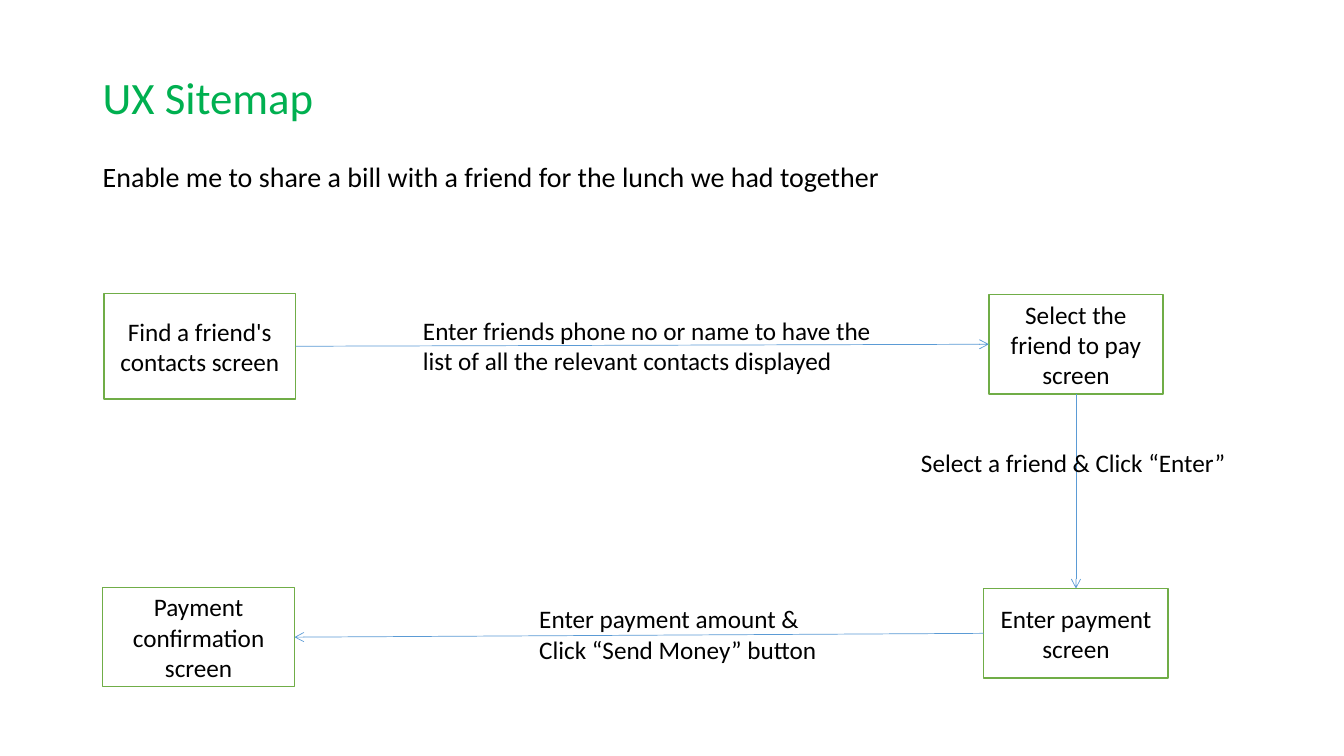
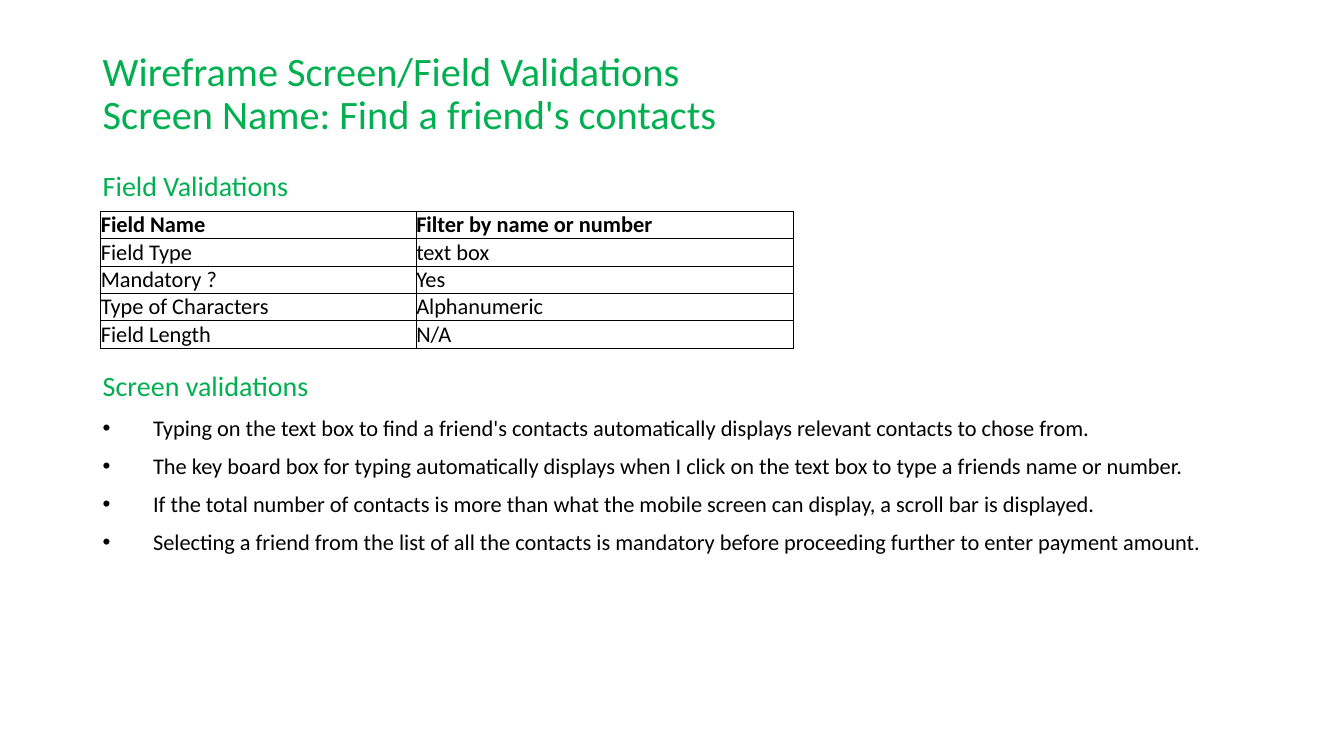
from dataclasses import dataclass

from lxml.etree import SubElement
from pptx import Presentation
from pptx.dml.color import RGBColor
from pptx.enum.shapes import MSO_CONNECTOR as Connector
from pptx.enum.shapes import MSO_SHAPE as Preset
from pptx.enum.text import MSO_ANCHOR as Anchor
from pptx.enum.text import PP_ALIGN as Align
from pptx.oxml.ns import qn
from pptx.shapes.autoshape import Shape
from pptx.slide import Slide
from pptx.table import _Cell as Cell
from pptx.text.text import _Paragraph as Paragraph
from pptx.util import Cm, Pt

FONT = "Calibri"
GREEN, BLACK, WHITE = "00B050", "000000", "FFFFFF"
BOX_LINE, ARROW_LINE = "70AD47", "5B9BD5"
MARGIN_LEFT, TITLE_TOP, TITLE_WIDTH = 2.34, 1.02, 29.21
BULLET_INDENT = 1.27
TOP, LEFT, BOTTOM, RIGHT = range(4)  # connection sites of a rectangle


@dataclass(frozen=True)
class Area:
    """A rectangle in centimetres."""
    left: float
    top: float
    width: float
    height: float

    def lengths(self) -> tuple[Cm, Cm, Cm, Cm]:
        """Return the rectangle as slide lengths."""
        return Cm(self.left), Cm(self.top), Cm(self.width), Cm(self.height)


@dataclass(frozen=True)
class Caption:
    """A text and the area it stands in."""
    text: str
    area: Area


@dataclass(frozen=True)
class Arrow:
    """A link between the sites of two named screens."""
    start: str
    start_site: int
    end: str
    end_site: int


@dataclass(frozen=True)
class BodyLine:
    """One paragraph of body text."""
    text: str
    size: float = 20
    color: str = BLACK
    bullet: bool = False
    space_before: float = 10


SCREENS = {
    "find": Caption("Find a friend's contacts screen", Area(2.62, 7.39, 4.83, 2.67)),
    "select": Caption("Select the friend to pay screen", Area(24.92, 7.42, 4.39, 2.51)),
    "pay": Caption("Enter payment screen", Area(24.79, 14.83, 4.65, 2.26)),
    "confirm": Caption("Payment confirmation screen", Area(2.59, 14.81, 4.83, 2.49)),
}
ARROWS = [
    Arrow("find", RIGHT, "select", LEFT),
    Arrow("select", BOTTOM, "pay", TOP),
    Arrow("pay", LEFT, "confirm", RIGHT),
]
ACTIONS = [
    Caption("Enter friends phone no or name to have the list of all the relevant "
            "contacts displayed", Area(10.41, 7.82, 12.37, 1.78)),
    Caption("Select a friend & Click “Enter”", Area(22.96, 11.15, 8.48, 1.02)),
    Caption("Enter payment amount & Click “Send Money” button",
            Area(13.34, 15.09, 7.82, 1.78)),
]
SCREEN_RULES = [
    "Typing on the text box to find a friend's contacts automatically displays "
    "relevant contacts to chose from.",
    "The key board box for typing automatically displays when I click on the text "
    "box to type a friends name or number.",
    "If the total number of contacts is more than what the mobile screen can "
    "display, a scroll bar is displayed.",
    "Selecting a friend from the list of all the contacts is mandatory before "
    "proceeding further to enter payment amount.",
]
FIELD_ROWS = [
    ("Field Name", "Filter by name or number"),
    ("Field Type", "text box"),
    ("Mandatory ?", "Yes"),
    ("Type of Characters", "Alphanumeric"),
    ("Field Length", "N/A"),
]
FIELD_COLUMNS = (7.95, 9.5)
FIELD_ROW_HEIGHT = 0.69


def rgb(color: str) -> RGBColor:
    """Turn a hex string into a colour."""
    return RGBColor.from_string(color)


def format_runs(paragraph: Paragraph, size: float, color: str = BLACK,
                bold: bool = False) -> None:
    """Give every run of a paragraph the same font."""
    for run in paragraph.runs:
        run.font.name = FONT
        run.font.size = Pt(size)
        run.font.bold = bold
        run.font.color.rgb = rgb(color)


def add_text_box(slide: Slide, area: Area) -> Shape:
    """Add an empty wrapping text box."""
    box = slide.shapes.add_textbox(*area.lengths())
    box.text_frame.word_wrap = True
    return box


def add_title(slide: Slide, text: str, size: float, height: float) -> None:
    """Add the green slide title."""
    area = Area(MARGIN_LEFT, TITLE_TOP, TITLE_WIDTH, height)
    frame = add_text_box(slide, area).text_frame
    frame.vertical_anchor = Anchor.MIDDLE
    paragraph = frame.paragraphs[0]
    paragraph.text = text
    paragraph.line_spacing = 0.9
    format_runs(paragraph, size, GREEN)


def add_bullet(paragraph: Paragraph) -> None:
    """Give a paragraph a hanging bullet."""
    properties = paragraph._p.get_or_add_pPr()
    properties.set("marL", str(Cm(BULLET_INDENT)))
    properties.set("indent", str(-Cm(BULLET_INDENT)))
    SubElement(properties, qn("a:buFont"), typeface="Arial")
    SubElement(properties, qn("a:buChar"), char="•")


def add_body(slide: Slide, area: Area, lines: list[BodyLine]) -> None:
    """Add the body text, one paragraph a line."""
    frame = add_text_box(slide, area).text_frame
    for index, line in enumerate(lines):
        paragraph = frame.add_paragraph() if index else frame.paragraphs[0]
        paragraph.text = line.text
        paragraph.line_spacing = 0.9
        paragraph.space_before = Pt(line.space_before)
        format_runs(paragraph, line.size, line.color)
        if line.bullet:
            add_bullet(paragraph)


def add_screen(slide: Slide, screen: Caption) -> Shape:
    """Add one screen of the sitemap as a process box."""
    shape = slide.shapes.add_shape(Preset.FLOWCHART_PROCESS, *screen.area.lengths())
    shape.shadow.inherit = False
    shape.fill.solid()
    shape.fill.fore_color.rgb = rgb(WHITE)
    shape.line.color.rgb = rgb(BOX_LINE)
    shape.line.width = Pt(1)
    frame = shape.text_frame
    frame.word_wrap = True
    frame.vertical_anchor = Anchor.MIDDLE
    frame.text = screen.text
    frame.paragraphs[0].alignment = Align.CENTER
    format_runs(frame.paragraphs[0], 18)
    return shape


def add_arrow(slide: Slide, arrow: Arrow, shapes: dict[str, Shape]) -> None:
    """Link two screens with a thin arrow."""
    connector = slide.shapes.add_connector(Connector.STRAIGHT, 0, 0, 0, 0)
    connector.begin_connect(shapes[arrow.start], arrow.start_site)
    connector.end_connect(shapes[arrow.end], arrow.end_site)
    connector.line.color.rgb = rgb(ARROW_LINE)
    connector.line.width = Pt(0.5)
    SubElement(connector.line._get_or_add_ln(), qn("a:tailEnd"), type="arrow")
    SubElement(connector._element.spPr, qn("a:effectLst"))


def add_action(slide: Slide, action: Caption) -> None:
    """Add the label of an arrow."""
    frame = add_text_box(slide, action.area).text_frame
    frame.text = action.text
    format_runs(frame.paragraphs[0], 18)


def add_borders(cell: Cell) -> None:
    """Draw a thin black line on each side of a cell."""
    properties = cell._tc.get_or_add_tcPr()
    for side in ("lnL", "lnR", "lnT", "lnB"):
        line = SubElement(properties, qn(f"a:{side}"), w=str(Pt(0.75)))
        fill = SubElement(line, qn("a:solidFill"))
        SubElement(fill, qn("a:srgbClr"), val=BLACK)


def format_cell(cell: Cell, text: str, bold: bool) -> None:
    """Fill a cell with text, without margins or a background."""
    cell.text_frame.text = text
    format_runs(cell.text_frame.paragraphs[0], 16, bold=bold)
    cell.margin_left = cell.margin_right = cell.margin_top = cell.margin_bottom = 0
    cell.vertical_anchor = Anchor.BOTTOM
    add_borders(cell)
    cell.fill.background()


def add_field_table(slide: Slide, left: float, top: float) -> None:
    """Add the table of field validations."""
    area = Area(left, top, sum(FIELD_COLUMNS), FIELD_ROW_HEIGHT * len(FIELD_ROWS))
    table = slide.shapes.add_table(
        len(FIELD_ROWS), len(FIELD_COLUMNS), *area.lengths()).table
    table.first_row = table.horz_banding = False
    for column, width in zip(table.columns, FIELD_COLUMNS):
        column.width = Cm(width)
    for index, (row, texts) in enumerate(zip(table.rows, FIELD_ROWS)):
        row.height = Cm(FIELD_ROW_HEIGHT)
        for cell, text in zip(row.cells, texts):
            format_cell(cell, text, bold=index == 0)


def build_sitemap(slide: Slide) -> None:
    """Build the sitemap slide."""
    add_title(slide, "UX Sitemap", 32, 3.02)
    add_body(slide, Area(MARGIN_LEFT, 3.99, TITLE_WIDTH, 14.86), [
        BodyLine("Enable me to share a bill with a friend for the lunch we had together")])
    shapes = {name: add_screen(slide, screen) for name, screen in SCREENS.items()}
    for arrow in ARROWS:
        add_arrow(slide, arrow, shapes)
    for action in ACTIONS:
        add_action(slide, action)


def build_validations(slide: Slide) -> None:
    """Build the slide of field and screen validations."""
    add_title(slide, "Wireframe Screen/Field Validations\v"
                     "Screen Name: Find a friend's contacts", 28.8, 2.74)
    add_body(slide, Area(MARGIN_LEFT, 4.22, 30.2, 12.95), [
        BodyLine("Field Validations", color=GREEN),
        BodyLine("Screen validations", color=GREEN, space_before=121.5),
        *(BodyLine(rule, size=16, bullet=True) for rule in SCREEN_RULES),
    ])
    add_field_table(slide, 2.54, 5.33)


def main() -> None:
    """Build and save the presentation."""
    presentation = Presentation()
    presentation.slide_width, presentation.slide_height = Cm(33.87), Cm(19.05)
    blank = presentation.slide_layouts[6]
    for build in (build_sitemap, build_validations):
        build(presentation.slides.add_slide(blank))
    presentation.save("out.pptx")


main()
